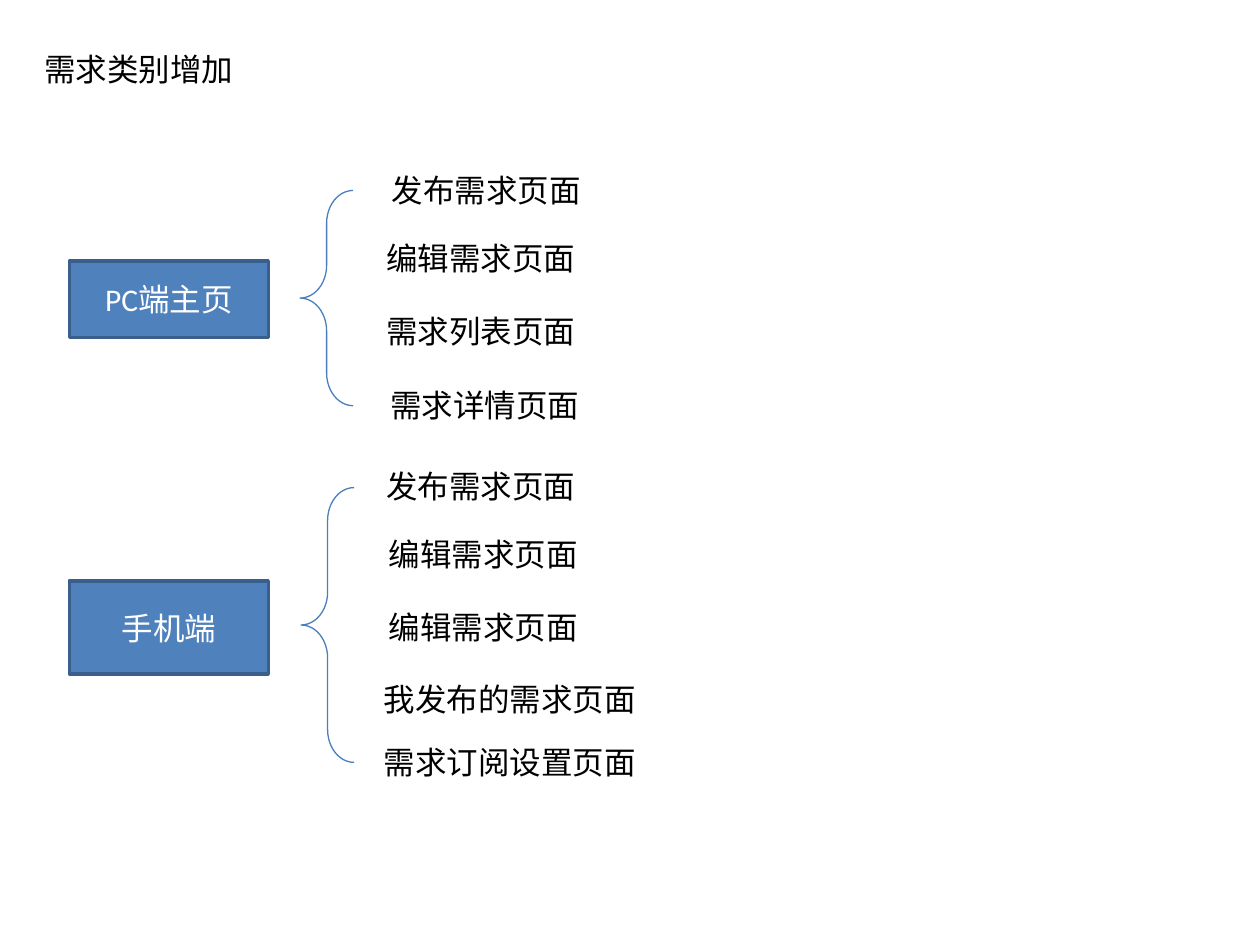
import pptx
import pptx.dml.color
import pptx.enum.shapes
import pptx.enum.text
import pptx.util

Cm = pptx.util.Cm
Pt = pptx.util.Pt
RGBColor = pptx.dml.color.RGBColor
SHAPE = pptx.enum.shapes.MSO_SHAPE

BLACK = RGBColor(0x00, 0x00, 0x00)
WHITE = RGBColor(0xFF, 0xFF, 0xFF)
BLUE = RGBColor(0x4F, 0x81, 0xBD)
BOX_EDGE = RGBColor(0x3A, 0x5F, 0x8C)
BRACE_EDGE = RGBColor(0x4B, 0x7E, 0xBC)

FONT = {"name": "Calibri", "size": Pt(18)}
LABEL_FRAME = {
    "word_wrap": False,
    "auto_size": pptx.enum.text.MSO_AUTO_SIZE.SHAPE_TO_FIT_TEXT,
}
BOX_FRAME = {
    "word_wrap": True,
    "vertical_anchor": pptx.enum.text.MSO_ANCHOR.MIDDLE,
}

presentation = pptx.Presentation()
presentation.slide_width = Cm(25.4)
presentation.slide_height = Cm(19.05)
slide = presentation.slides.add_slide(presentation.slide_layouts[6])


def write(frame, wording, color, frame_format):
    for key, value in frame_format.items():
        setattr(frame, key, value)
    paragraph = frame.paragraphs[0]
    run = paragraph.add_run()
    run.text = wording
    for key, value in FONT.items():
        setattr(run.font, key, value)
    run.font.color.rgb = color
    return paragraph


def add_label(wording, left, top):
    width = 0.53 + 0.64 * len(wording)
    label = slide.shapes.add_textbox(Cm(left), Cm(top), Cm(width), Cm(1.02))
    write(label.text_frame, wording, BLACK, LABEL_FRAME)


add_label("需求类别增加", 0.64, 0.89)

platforms = [
    ("PC端主页", 5.26, 1.55, (6.05, 3.84, 4.34), [
        ("发布需求页面", 7.65, 3.33),
        ("编辑需求页面", 7.54, 4.7),
        ("需求列表页面", 7.54, 6.17),
        ("需求详情页面", 7.62, 7.65),
    ]),
    ("手机端", 11.71, 1.88, (6.07, 9.83, 5.54), [
        ("发布需求页面", 7.54, 9.3),
        ("编辑需求页面", 7.59, 10.67),
        ("编辑需求页面", 7.59, 12.14),
        ("我发布的需求页面", 7.49, 13.59),
        ("需求订阅设置页面", 7.49, 14.86),
    ]),
]

for platform, top, height, (brace_left, brace_top, brace_height), pages in platforms:
    box = slide.shapes.add_shape(SHAPE.RECTANGLE, Cm(1.4), Cm(top), Cm(4.01), Cm(height))
    box.fill.solid()
    box.fill.fore_color.rgb = BLUE
    heading = write(box.text_frame, platform, WHITE, BOX_FRAME)
    heading.alignment = pptx.enum.text.PP_ALIGN.CENTER

    brace = slide.shapes.add_shape(
        SHAPE.LEFT_BRACE, Cm(brace_left), Cm(brace_top), Cm(1.07), Cm(brace_height))
    brace.adjustments[0] = 0.617
    brace.adjustments[1] = 0.5
    brace.fill.background()

    for outlined, color, thickness in ((box, BOX_EDGE, 2), (brace, BRACE_EDGE, 0.75)):
        outlined.shadow.inherit = False
        outlined.line.color.rgb = color
        outlined.line.width = Pt(thickness)

    for page, left, page_top in pages:
        add_label(page, left, page_top)

presentation.save("out.pptx")
